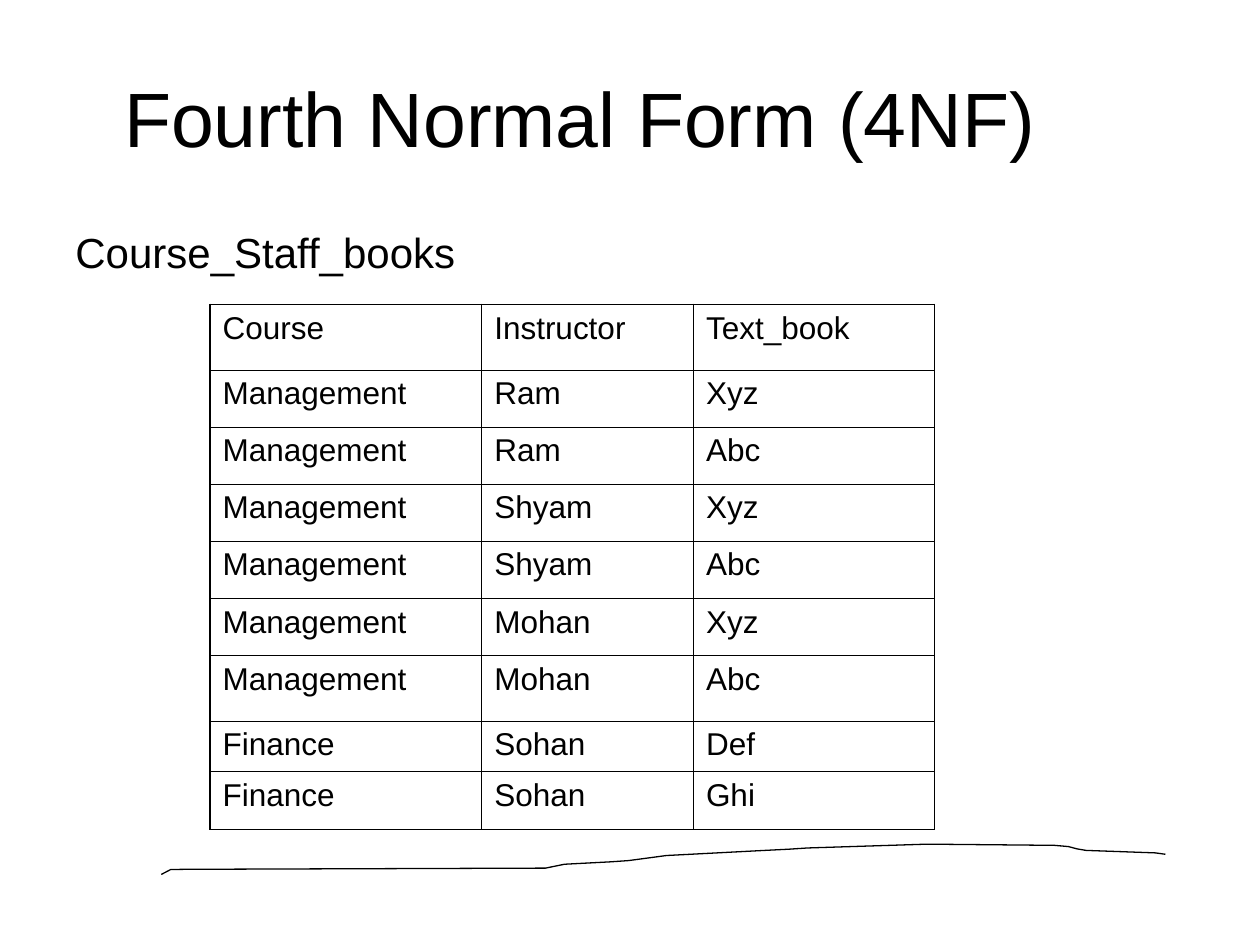
from lxml.etree import SubElement
from pptx import Presentation
from pptx.dml.color import RGBColor
from pptx.enum.text import MSO_ANCHOR, PP_ALIGN
from pptx.oxml.ns import qn
from pptx.util import Pt

COLORS = {"ink": "000000", "paper": "FFFFFF"}
FONT = "Arial"
TITLE = "Fourth Normal Form (4NF)"
RELATION = "Course_Staff_books"
RECORDS = [
    ("Course", "Instructor", "Text_book"),
    ("Management", "Ram", "Xyz"),
    ("Management", "Ram", "Abc"),
    ("Management", "Shyam", "Xyz"),
    ("Management", "Shyam", "Abc"),
    ("Management", "Mohan", "Xyz"),
    ("Management", "Mohan", "Abc"),
    ("Finance", "Sohan", "Def"),
    ("Finance", "Sohan", "Ghi"),
]
COLUMN_WIDTHS = [155.3, 121, 137.8]
ROW_HEIGHTS = [37.4, 32.6, 32.6, 32.6, 33, 32.6, 37.2, 29, 33]
OUTER_BORDER, INNER_BORDER = 1.08, 0.45
HAND_LINE = [
    (92.2, 499.7), (97.6, 496.9), (107.3, 496.8), (311.8, 496.1), (322.6, 493.9),
    (349.2, 492.5), (359.3, 491.8), (380.9, 488.9), (394.6, 488.2), (437, 486),
    (450.7, 485.3), (461.5, 484.6), (529.9, 482.4), (602.6, 483.1), (610.6, 483.8),
    (615.5, 485.1), (620.6, 486), (660.2, 487.4), (666, 488.2),
]


def color(name):
    return RGBColor.from_string(COLORS[name])


def style(paragraph, size):
    paragraph.font.name = FONT
    paragraph.font.size = Pt(size)
    paragraph.font.color.rgb = color("ink")


def add_text(page, text, size, left, top, width, height):
    box = page.shapes.add_textbox(Pt(left), Pt(top), Pt(width), Pt(height))
    box.text_frame.word_wrap = True
    box.text_frame.text = text
    style(box.text_frame.paragraphs[0], size)
    return box.text_frame


def add_hand_line(page):
    points = [(Pt(x), Pt(y)) for x, y in HAND_LINE]
    builder = page.shapes.build_freeform(*points[0])
    builder.add_line_segments(points[1:], close=False)
    curve = builder.convert_to_shape()
    curve.shadow.inherit = False
    curve.fill.background()
    curve.line.color.rgb = color("ink")
    curve.line.width = Pt(0.75)


def set_borders(cell, outer_sides):
    """Draw all four sides, those on the table's edge thicker."""
    properties = cell._tc.get_or_add_tcPr()
    for side in "LRTB":
        width = OUTER_BORDER if side in outer_sides else INNER_BORDER
        line = SubElement(properties, qn(f"a:ln{side}"), w=str(int(Pt(width))))
        fill = SubElement(line, qn("a:solidFill"))
        SubElement(fill, qn("a:srgbClr"), val=COLORS["ink"])


def add_records(page, left, top):
    last_row, last_column = len(RECORDS) - 1, len(COLUMN_WIDTHS) - 1
    frame = page.shapes.add_table(
        len(RECORDS), len(COLUMN_WIDTHS), Pt(left), Pt(top),
        Pt(sum(COLUMN_WIDTHS)), Pt(sum(ROW_HEIGHTS)))
    table = frame.table
    table.first_row = table.horz_banding = False
    for column, width in zip(table.columns, COLUMN_WIDTHS):
        column.width = Pt(width)
    for row, height in zip(table.rows, ROW_HEIGHTS):
        row.height = Pt(height)
    for r, record in enumerate(RECORDS):
        for c, value in enumerate(record):
            cell = table.cell(r, c)
            cell.text = value
            style(cell.text_frame.paragraphs[0], 18)
            edges = {"L": c == 0, "R": c == last_column, "T": r == 0, "B": r == last_row}
            set_borders(cell, [side for side, outer in edges.items() if outer])
            cell.fill.background()


def main():
    deck = Presentation()
    deck.slide_width, deck.slide_height = Pt(720), Pt(540)
    page = deck.slides.add_slide(deck.slide_layouts[6])
    page.background.fill.solid()
    page.background.fill.fore_color.rgb = color("paper")

    add_hand_line(page)
    title = add_text(page, TITLE, 44, 36, 21.6, 648, 90)
    title.vertical_anchor = MSO_ANCHOR.MIDDLE
    title.margin_right = Pt(64)
    title.paragraphs[0].alignment = PP_ALIGN.CENTER
    add_text(page, RELATION, 24, 36, 126, 648, 390)
    add_records(page, 120, 174)
    deck.save("out.pptx")


if __name__ == "__main__":
    main()
